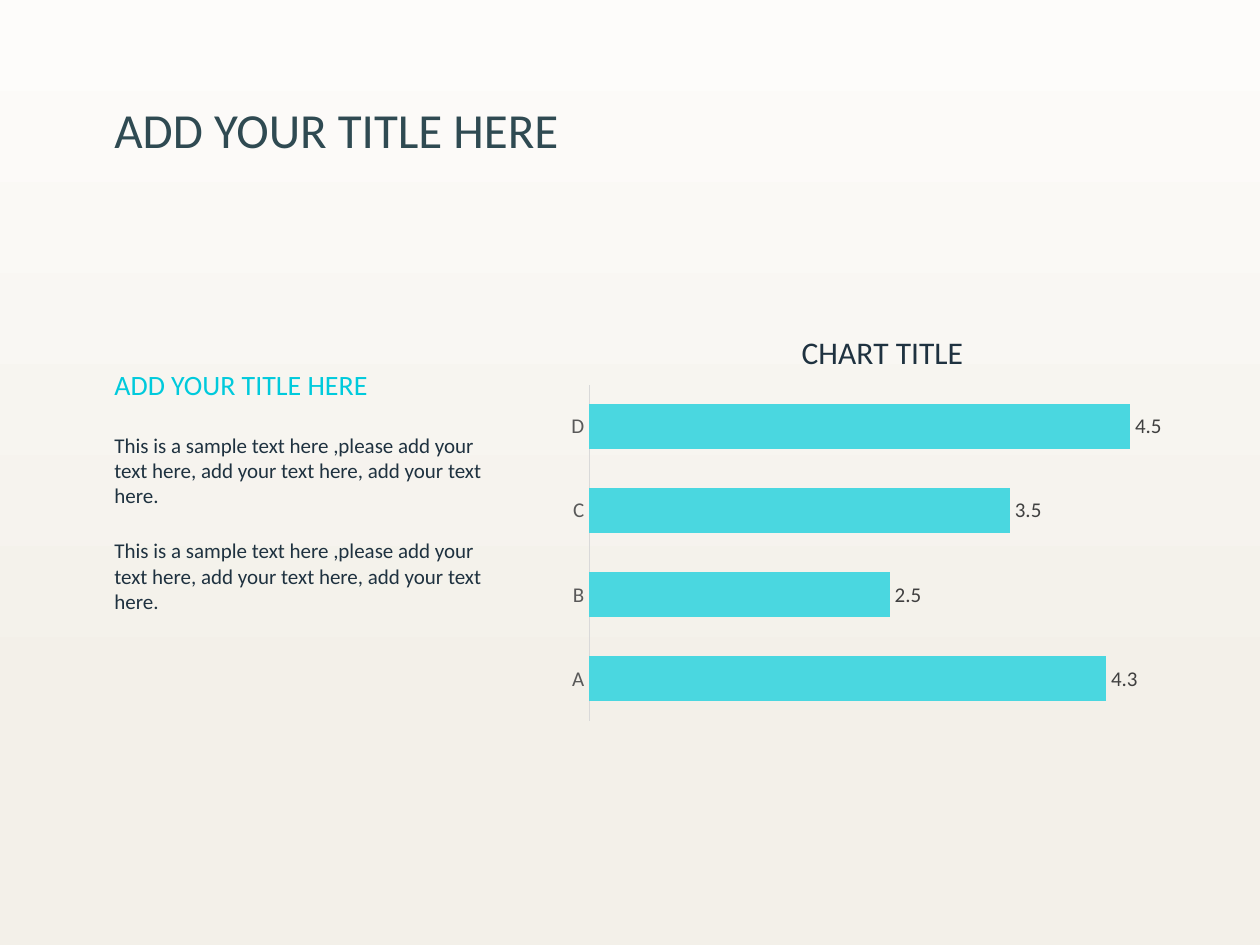
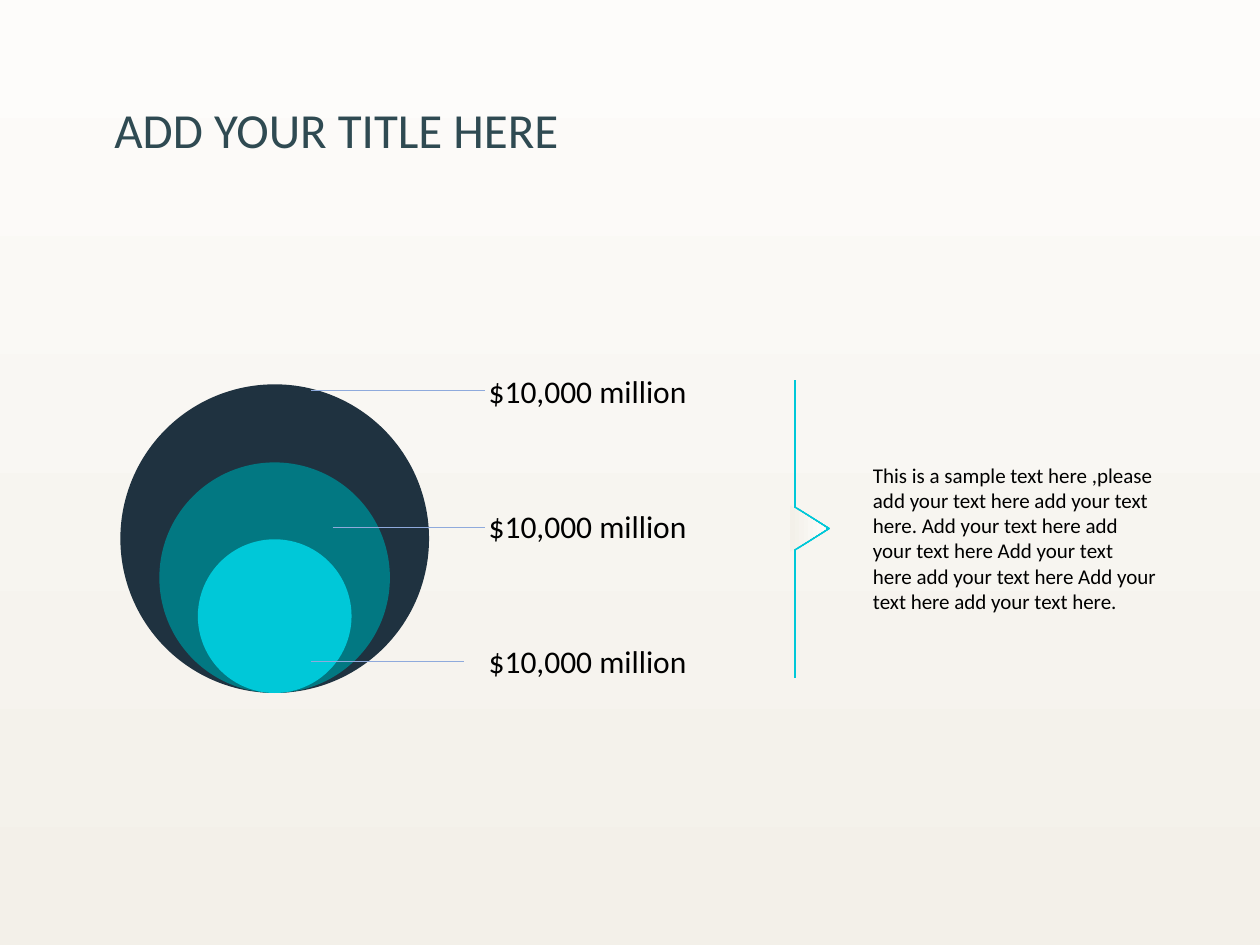
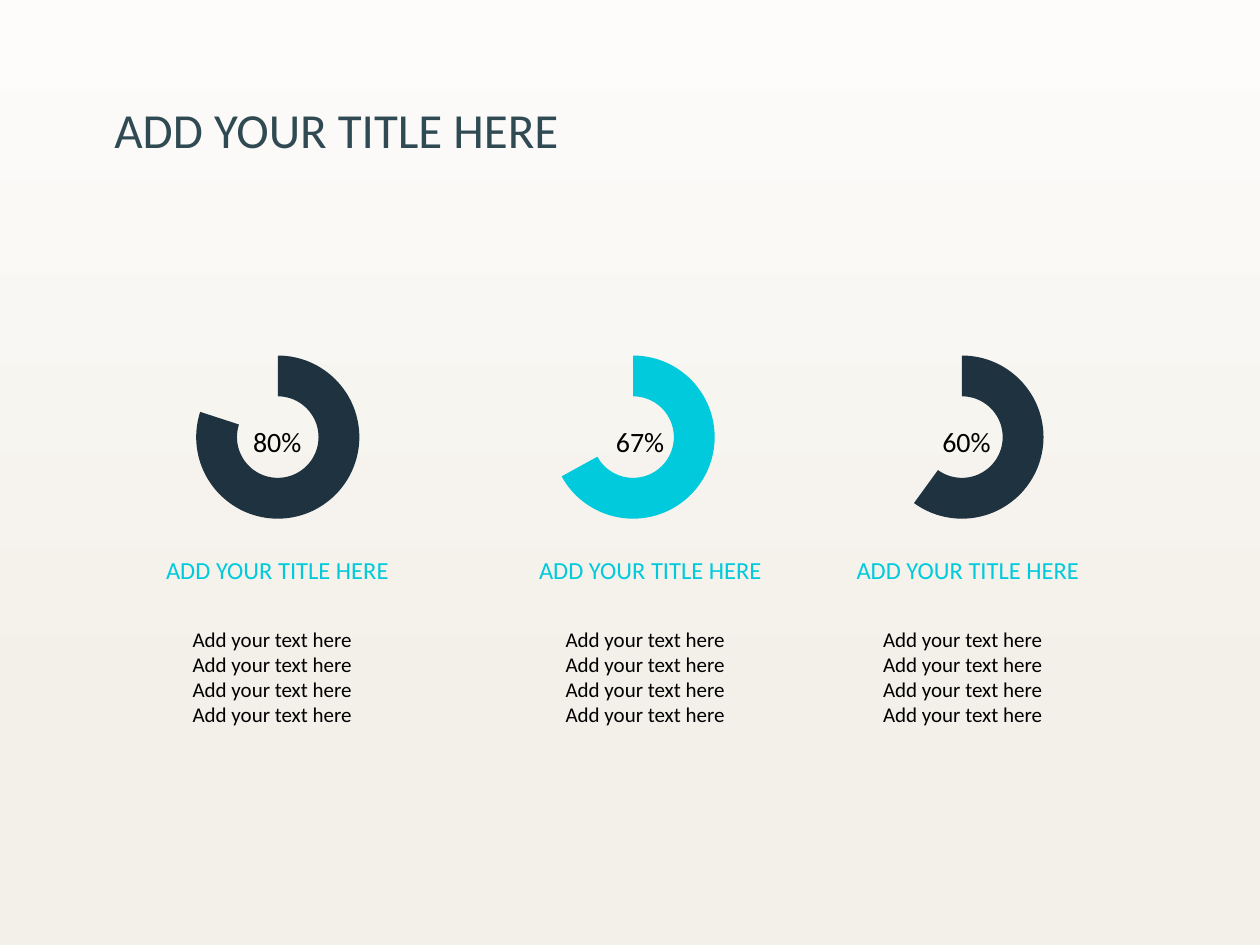
from lxml.etree import SubElement
from pptx import Presentation
from pptx.chart.data import CategoryChartData
from pptx.dml.color import RGBColor
from pptx.enum.chart import XL_CHART_TYPE, XL_LABEL_POSITION, XL_TICK_LABEL_POSITION, XL_TICK_MARK
from pptx.enum.shapes import MSO_CONNECTOR, MSO_SHAPE
from pptx.enum.text import MSO_AUTO_SIZE
from pptx.oxml import parse_xml
from pptx.oxml.ns import nsdecls, qn
from pptx.util import Inches, Pt

COLORS = {
    "paper_low": "F3F0E9", "paper_high": "FDFCFA",
    "title": "2F4A52", "navy": "1F3240", "teal": "027882",
    "aqua": "00C8D8", "cyan": "00CADC", "bar": "4AD7E0",
    "guide": "8FAADC", "axis": "D9D9D9",
    "axis_text": "595959", "label": "404040", "black": "000000",
}
FONT = "Calibri"
HEADING = "ADD YOUR TITLE HERE"
COLUMNS, ROWS = 100, 75
MARGIN = 8.1


def color(name):
    return RGBColor.from_string(COLORS[name])


def style_font(font, size, name):
    font.name, font.size, font.bold = FONT, Pt(size), False
    font.color.rgb = color(name)


def place_in_chart(parent, x, y, width=None, height=None):
    """Set a manual layout, in shares of the chart's size."""
    for old in parent.findall(qn("c:layout")):
        parent.remove(old)
    values = {"xMode": "edge", "yMode": "edge", "x": x, "y": y}
    if width:
        values = {"layoutTarget": "inner", **values, "w": width, "h": height}
    inner = "".join(f'<c:{key} val="{value}"/>' for key, value in values.items())
    layout = parse_xml(f'<c:layout {nsdecls("c")}><c:manualLayout>{inner}</c:manualLayout></c:layout>')
    text = parent.find(qn("c:tx"))
    parent.insert(0 if text is None else 1, layout)


class Deck:
    """Holds the style and the current slide; lengths are grid columns and rows."""

    def __init__(self):
        self.presentation = Presentation()
        self.presentation.slide_width = Inches(10)
        self.presentation.slide_height = Inches(7.5)
        self.column = self.presentation.slide_width / COLUMNS
        self.row = self.presentation.slide_height / ROWS
        self.slide = None

    def box(self, left, top, width, height):
        return (round(left * self.column), round(top * self.row),
                round(width * self.column), round(height * self.row))

    def paper(self, fill, start=0):
        fill.gradient()
        fill.gradient_angle = 90
        stops = zip(fill.gradient_stops, (start, 1), ("paper_low", "paper_high"))
        for stop, position, name in stops:
            stop.position = position
            stop.color.rgb = color(name)

    def new_slide(self, start):
        self.slide = self.presentation.slides.add_slide(self.presentation.slide_layouts[6])
        self.paper(self.slide.background.fill, start)
        self.text(HEADING, MARGIN, 7.4, 37.8, 5.7, 28, "title")

    def text(self, text, left, top, width, height, size=12, name="black"):
        frame = self.slide.shapes.add_textbox(*self.box(left, top, width, height)).text_frame
        frame.word_wrap = True
        frame.auto_size = MSO_AUTO_SIZE.SHAPE_TO_FIT_TEXT
        frame.text = text
        for paragraph in frame.paragraphs:
            style_font(paragraph.font, size, name)

    def shape(self, kind, left, top, width, height, fill=None):
        shape = self.slide.shapes.add_shape(kind, *self.box(left, top, width, height))
        shape.shadow.inherit = False
        shape.line.fill.background()
        if fill:
            shape.fill.solid()
            shape.fill.fore_color.rgb = color(fill)
        else:
            self.paper(shape.fill)
        return shape

    def line(self, x1, y1, x2, y2, name, weight):
        ends = self.box(x1, y1, x2, y2)
        connector = self.slide.shapes.add_connector(MSO_CONNECTOR.STRAIGHT, *ends)
        connector.line.color.rgb = color(name)
        connector.line.width = Pt(weight)
        SubElement(connector._element.spPr, qn("a:effectLst"))

    def chart(self, kind, categories, values, left, top, width, height):
        data = CategoryChartData()
        data.categories = categories
        data.add_series("Series 1", values)
        frame = self.slide.shapes.add_chart(kind, *self.box(left, top, width, height), data)
        chart = frame.chart
        style_font(chart.font, 10, "black")
        chart.has_legend = False
        chart.has_title = False
        return chart

    def bar_chart(self, title, categories, values, *box):
        chart = self.chart(XL_CHART_TYPE.BAR_CLUSTERED, categories, values, *box)
        chart.has_title = True
        chart.chart_title.text_frame.text = title
        style_font(chart.chart_title.text_frame.paragraphs[0].font, 18, "navy")
        place_in_chart(chart.chart_title._element, 0.37, 0.06)
        place_in_chart(chart._chartSpace.chart.plotArea, 0.05, 0.2, 0.93, 0.78)
        for axis in (chart.category_axis, chart.value_axis):
            axis.has_major_gridlines = False
            axis.major_tick_mark = axis.minor_tick_mark = XL_TICK_MARK.NONE
            style_font(axis.tick_labels.font, 12, "axis_text")
        chart.category_axis.format.line.color.rgb = color("axis")
        chart.category_axis.format.line.width = Pt(0.75)
        chart.value_axis.format.line.fill.background()
        chart.value_axis.tick_label_position = XL_TICK_LABEL_POSITION.NONE
        chart.value_axis.minimum_scale, chart.value_axis.maximum_scale = 0, 5
        plot = chart.plots[0]
        plot.gap_width = 88
        plot.vary_by_categories = False
        fill = plot.series[0].format.fill
        fill.solid()
        fill.fore_color.rgb = color("bar")
        labels = plot.series[0].data_labels
        labels.show_value = True
        labels.position = XL_LABEL_POSITION.OUTSIDE_END
        style_font(labels.font, 12, "label")

    def ring(self, percent, name, *box):
        chart = self.chart(XL_CHART_TYPE.DOUGHNUT, ("1", "2"), (percent, 100 - percent), *box)
        place_in_chart(chart._chartSpace.chart.plotArea, 0.225, 0.09, 0.55, 0.82)
        plot = chart.plots[0]
        plot._element.find(qn("c:holeSize")).set("val", "62")
        done, rest = (plot.series[0].points[index].format for index in range(2))
        done.fill.solid()
        done.fill.fore_color.rgb = color(name)
        rest.fill.background()
        for part in (done, rest):
            part.line.fill.background()


def bar_slide(deck):
    deck.new_slide(0.23)
    deck.bar_chart("CHART TITLE", "ABCD", (4.3, 2.5, 3.5, 4.5), 44.2, 23.7, 51.3, 34.2)
    deck.text(HEADING, MARGIN, 28.7, 22.5, 3.7, 16, "cyan")
    sample = ("This is a sample text here ,please add your text here, "
              "add your text here, add your text here.")
    for top in (33.8, 42.2):
        deck.text(sample, MARGIN, top, 32.4, 7.1, 12, "navy")


def circles_slide(deck):
    deck.new_slide(0)
    # Nested circles resting on one point
    center, bottom = 21.8, 55
    for diameter, name in ((24.5, "navy"), (18.3, "teal"), (12.2, "aqua")):
        deck.shape(MSO_SHAPE.OVAL, center - diameter / 2, bottom - diameter,
                   diameter, diameter, name)
    # Amounts with their leader lines
    leaders = ((24.7, 38.5, 31), (26.4, 38.5, 41.9), (24.7, 36.8, 52.5))
    for index, (start, end, height) in enumerate(leaders):
        deck.text("$10,000 million", 37.8, 29 + 10.75 * index, 21.9, 4, 18)
        deck.line(start, height, end, height, "guide", 0.5)
    # Summary and pointed divider
    deck.text("This is a sample text here ,please add your text here add your text here. "
              "Add your text here add your text here Add your text here add your text here "
              "Add your text here add your text here.", 68.3, 36.2, 24.5, 13.1)
    deck.line(63.1, 30.2, 63.1, 53.8, "aqua", 1)
    pointer = deck.shape(MSO_SHAPE.ISOSCELES_TRIANGLE, 62.3, 40.5, 3.7, 2.9)
    pointer.rotation = 90
    effects = pointer._element.spPr.find(qn("a:effectLst"))
    edge = SubElement(effects, qn("a:outerShdw"), blurRad="0", dist=str(Pt(2)), dir="0",
                      algn="l", rotWithShape="0")
    SubElement(edge, qn("a:srgbClr"), val=COLORS["aqua"])


def rings_slide(deck):
    deck.new_slide(0.23)
    # Percent, colour, then the left edges of ring, percent and heading
    rings = ((80, "navy", 10.2, 19.1, 12.2),
             (67, "cyan", 38.4, 47.9, 41.8),
             (60, "navy", 64.5, 73.8, 67))
    for percent, name, ring_left, percent_left, heading_left in rings:
        deck.ring(percent, name, ring_left, 26.8, 23.7, 15.8)
        deck.text(f"{percent}%", percent_left, 33.2, 6.1, 3.7, 16)
        deck.text(HEADING, heading_left, 43.6, 20, 3.4, 14, "cyan")
        deck.text("\n".join(["Add your text here"] * 4), heading_left + 2.1, 49.2, 15.8, 9.1)


def main():
    deck = Deck()
    for build in (bar_slide, circles_slide, rings_slide):
        build(deck)
    deck.presentation.save("out.pptx")


if __name__ == "__main__":
    main()
